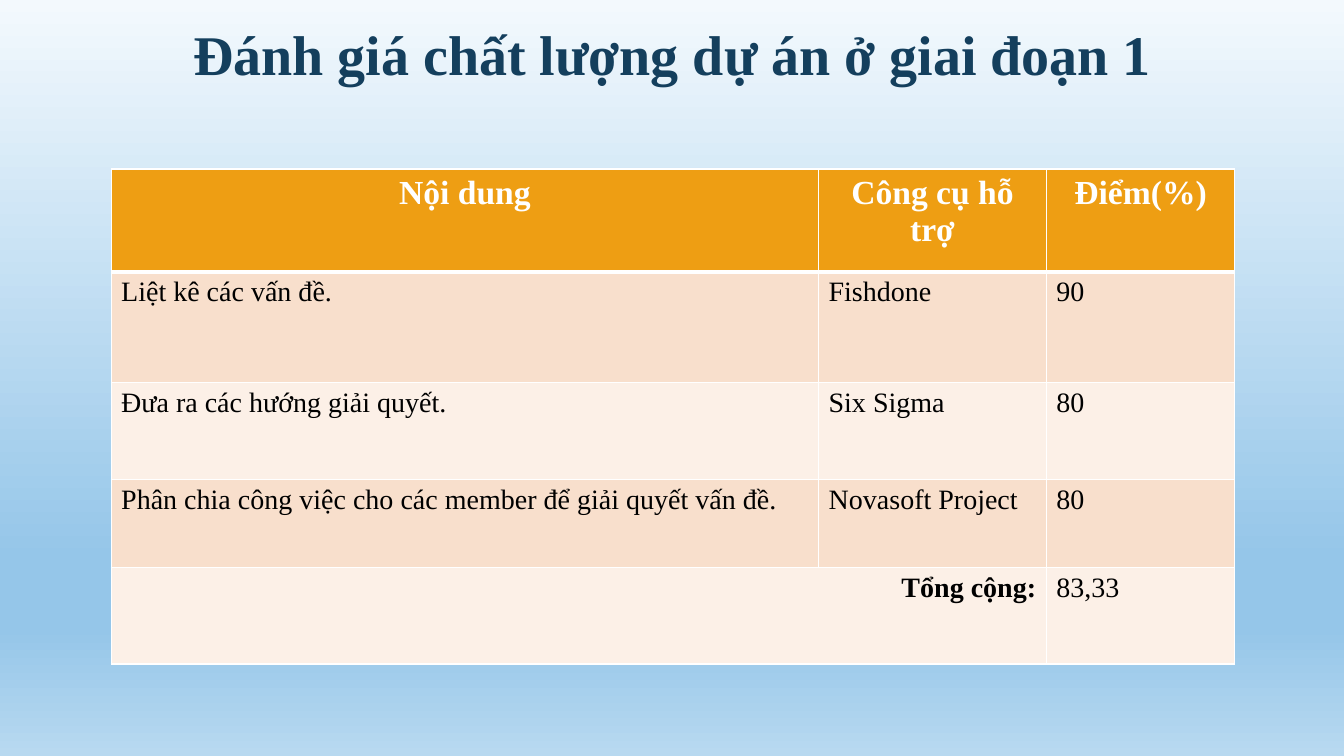
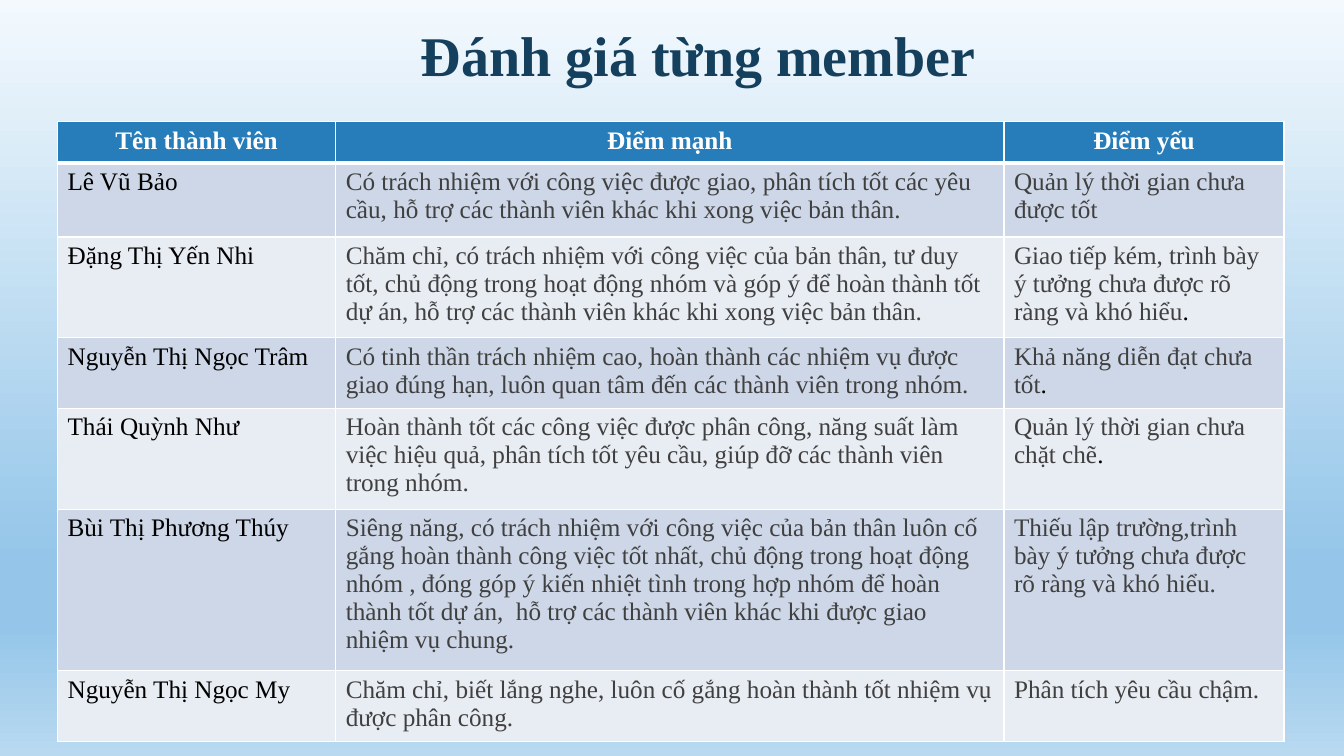
"""Build two project review slides, each with a title and a table."""
from dataclasses import dataclass

from lxml.etree import SubElement
from pptx import Presentation
from pptx.dml.color import RGBColor
from pptx.enum.text import MSO_ANCHOR as Anchor, MSO_AUTO_SIZE as AutoSize, PP_ALIGN as Align
from pptx.oxml.ns import qn
from pptx.util import Cm, Pt


@dataclass(frozen=True)
class Theme:
    font: str = "Times New Roman"
    title_size: int = 40
    title_color: str = "143F5D"
    white: str = "FFFFFF"
    black: str = "000000"
    gray: str = "404040"
    score_fills: tuple = ("EE9E13", "F8DFCC", "FCF0E7")
    member_fills: tuple = ("277DBA", "CDD7E7", "E8ECF3")
    background: tuple = ((0, "F3F9FD"), (74, "95C6E9"), (83, "95C6E9"), (100, "B8D9F0"))
    thin: int = 1
    thick: int = 3


theme = Theme()


def write(paragraph, text, *, size, color, bold=False, align=Align.LEFT):
    paragraph.alignment = align
    run = paragraph.add_run()
    run.text = text
    run.font.name = theme.font
    run.font.size = Pt(size)
    run.font.bold = bold
    run.font.color.rgb = RGBColor.from_string(color)


def style_cell(cell, fill, top, bottom):
    properties = cell._tc.get_or_add_tcPr()
    for side, width in (("L", theme.thin), ("R", theme.thin), ("T", top), ("B", bottom)):
        line = SubElement(properties, qn(f"a:ln{side}"), w=str(Pt(width)))
        SubElement(SubElement(line, qn("a:solidFill")), qn("a:srgbClr"), val=theme.white)
    cell.fill.solid()
    cell.fill.fore_color.rgb = RGBColor.from_string(fill)


# None joins a cell to its left neighbour; "|" starts a black ending.
pages = [
    dict(
        title="Đánh giá chất lượng dự án ở giai đoạn 1",
        title_box=(0, 0.36, 33.87, 1.96),
        origin=(2.8, 4.26),
        columns=(17.83, 5.74, 4.75),
        heights=(2.59, 2.79, 2.44, 2.21, 2.44),
        fills=theme.score_fills,
        header_size=24,
        body_size=20,
        body_colors=(theme.black, theme.black, theme.black),
        rows=[
            ("Nội dung", "Công cụ hỗ trợ", "Điểm(%)"),
            ("Liệt kê các vấn đề.", "Fishdone", "90"),
            ("Đưa ra các hướng giải quyết.", "Six Sigma", "80"),
            ("Phân chia công việc cho các member để giải quyết vấn đề.", "Novasoft Project", "80"),
            ("Tổng cộng:", None, "83,33"),
        ],
    ),
    dict(
        title="Đánh giá từng member",
        title_box=(0.94, 0.38, 33.3, 1.96),
        origin=(1.45, 3.07),
        columns=(7.01, 16.84, 7.06),
        heights=(1.04, 1.86, 2.54, 1.78, 2.54, 4.07, 1.78),
        fills=theme.member_fills,
        header_size=18,
        body_size=18,
        body_colors=(theme.black, theme.gray, theme.gray),
        rows=[
            ("Tên thành viên", "Điểm mạnh", "Điểm yếu"),
            ("Lê Vũ Bảo",
             "Có trách nhiệm với công việc được giao, phân tích tốt các yêu cầu, "
             "hỗ trợ các thành viên khác khi xong việc bản thân.",
             "Quản lý thời gian chưa được tốt"),
            ("Đặng Thị Yến Nhi",
             "Chăm chỉ, có trách nhiệm với công việc của bản thân, tư duy tốt, chủ động trong "
             "hoạt động nhóm và góp ý để hoàn thành tốt dự án, "
             "hỗ trợ các thành viên khác khi xong việc bản thân.",
             "Giao tiếp kém, trình bày ý tưởng chưa được rõ ràng và khó hiểu|."),
            ("Nguyễn Thị Ngọc Trâm",
             "Có tinh thần trách nhiệm cao, hoàn thành các nhiệm vụ được giao đúng hạn, "
             "luôn quan tâm đến các thành viên trong nhóm.",
             "Khả năng diễn đạt chưa tốt|."),
            ("Thái Quỳnh Như",
             "Hoàn thành tốt các công việc được phân công, năng suất làm việc hiệu quả, "
             "phân tích tốt yêu cầu, giúp đỡ các thành viên trong nhóm.",
             "Quản lý thời gian chưa chặt chẽ|."),
            ("Bùi Thị Phương Thúy",
             "Siêng năng, có trách nhiệm với công việc của bản thân luôn cố gắng hoàn thành "
             "công việc tốt nhất, chủ động trong hoạt động nhóm , đóng góp ý kiến nhiệt tình "
             "trong hợp nhóm để hoàn thành tốt dự án,  hỗ trợ các thành viên khác "
             "khi được giao nhiệm vụ chung.",
             "Thiếu lập trường,trình bày ý tưởng chưa được rõ ràng và khó hiểu."),
            ("Nguyễn Thị Ngọc My",
             "Chăm chỉ, biết lắng nghe, luôn cố gắng hoàn thành tốt nhiệm vụ được phân công.",
             "Phân tích yêu cầu chậm."),
        ],
    ),
]

presentation = Presentation()
presentation.slide_width = Cm(33.87)
presentation.slide_height = Cm(19.05)

master = presentation.slide_master
background = master.background.fill
background.gradient()
background.gradient_angle = 270
stops = master.element.find(".//" + qn("a:gsLst"))
stops.clear()
for position, color in theme.background:
    stop = SubElement(stops, qn("a:gs"), pos=str(position * 1000))
    SubElement(stop, qn("a:srgbClr"), val=color)

for page in pages:
    slide = presentation.slides.add_slide(presentation.slide_layouts[6])

    title = slide.shapes.add_textbox(*map(Cm, page["title_box"])).text_frame
    title.word_wrap = True
    title.auto_size = AutoSize.SHAPE_TO_FIT_TEXT
    title.vertical_anchor = Anchor.MIDDLE
    write(title.paragraphs[0], page["title"], size=theme.title_size,
          color=theme.title_color, bold=True, align=Align.CENTER)

    rows, columns, heights = page["rows"], page["columns"], page["heights"]
    size = (sum(columns), sum(heights))
    table = slide.shapes.add_table(len(rows), len(columns), *map(Cm, page["origin"] + size)).table
    for column, width in zip(table.columns, columns):
        column.width = Cm(width)
    for row, height in zip(table.rows, heights):
        row.height = Cm(height)

    header_fill, *bands = page["fills"]
    for row_index, texts in enumerate(rows):
        is_header = row_index == 0
        is_total = None in texts
        fill = header_fill if is_header else bands[(row_index - 1) % 2]
        top = theme.thick if row_index == 1 else theme.thin
        bottom = theme.thick if is_header else theme.thin
        for column_index, text in enumerate(texts):
            cell = table.cell(row_index, column_index)
            style_cell(cell, fill, top, bottom)
            if text is None:
                table.cell(row_index, column_index - 1).merge(cell)
                continue
            paragraph = cell.text_frame.paragraphs[0]
            if is_header:
                write(paragraph, text, size=page["header_size"], color=theme.white,
                      bold=True, align=Align.CENTER)
                continue
            is_label = is_total and column_index == 0
            body, _, ending = text.partition("|")
            for part, color in ((body, page["body_colors"][column_index]), (ending, theme.black)):
                if part:
                    write(paragraph, part, size=page["body_size"], color=color, bold=is_label,
                          align=Align.RIGHT if is_label else Align.LEFT)

presentation.save("out.pptx")
